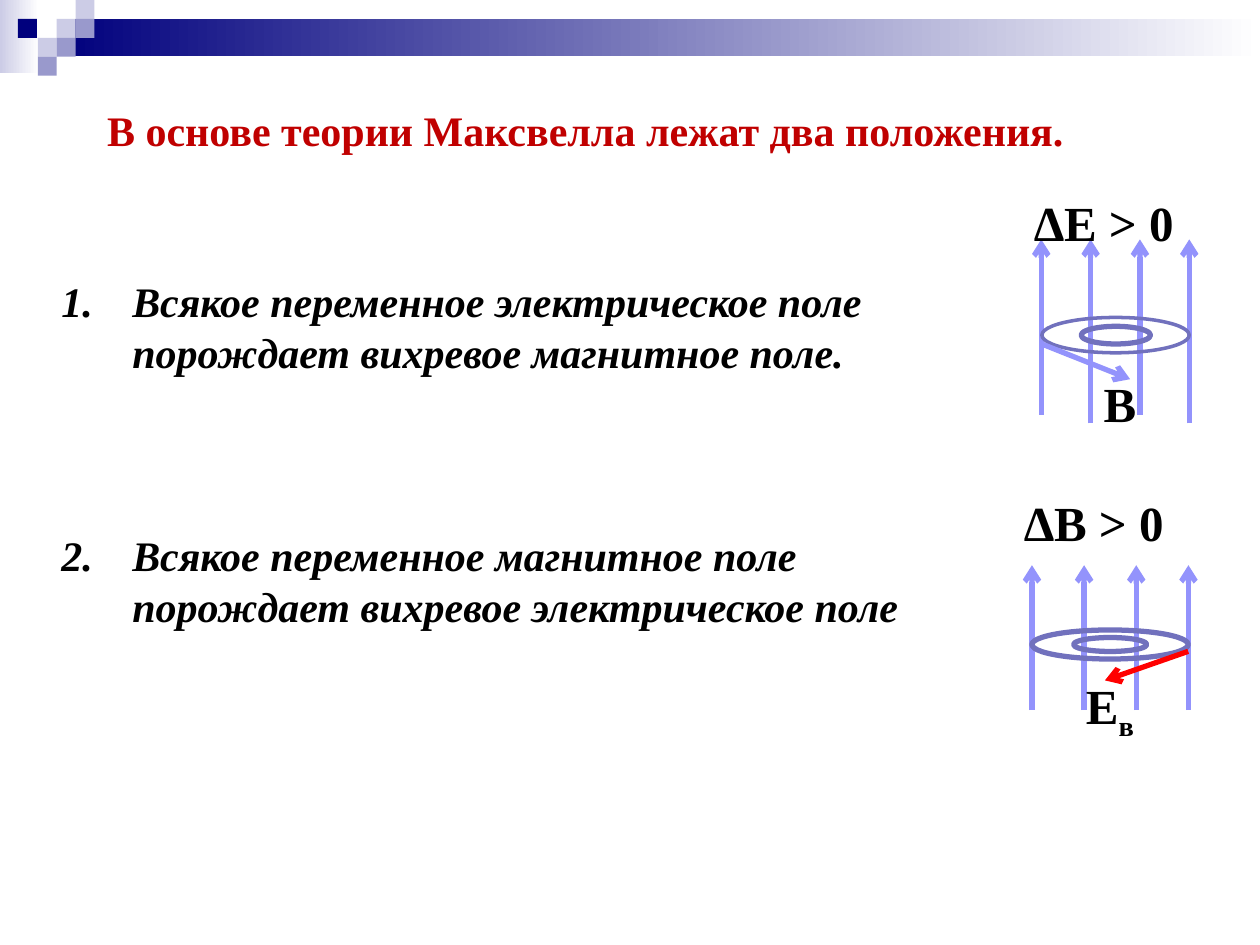
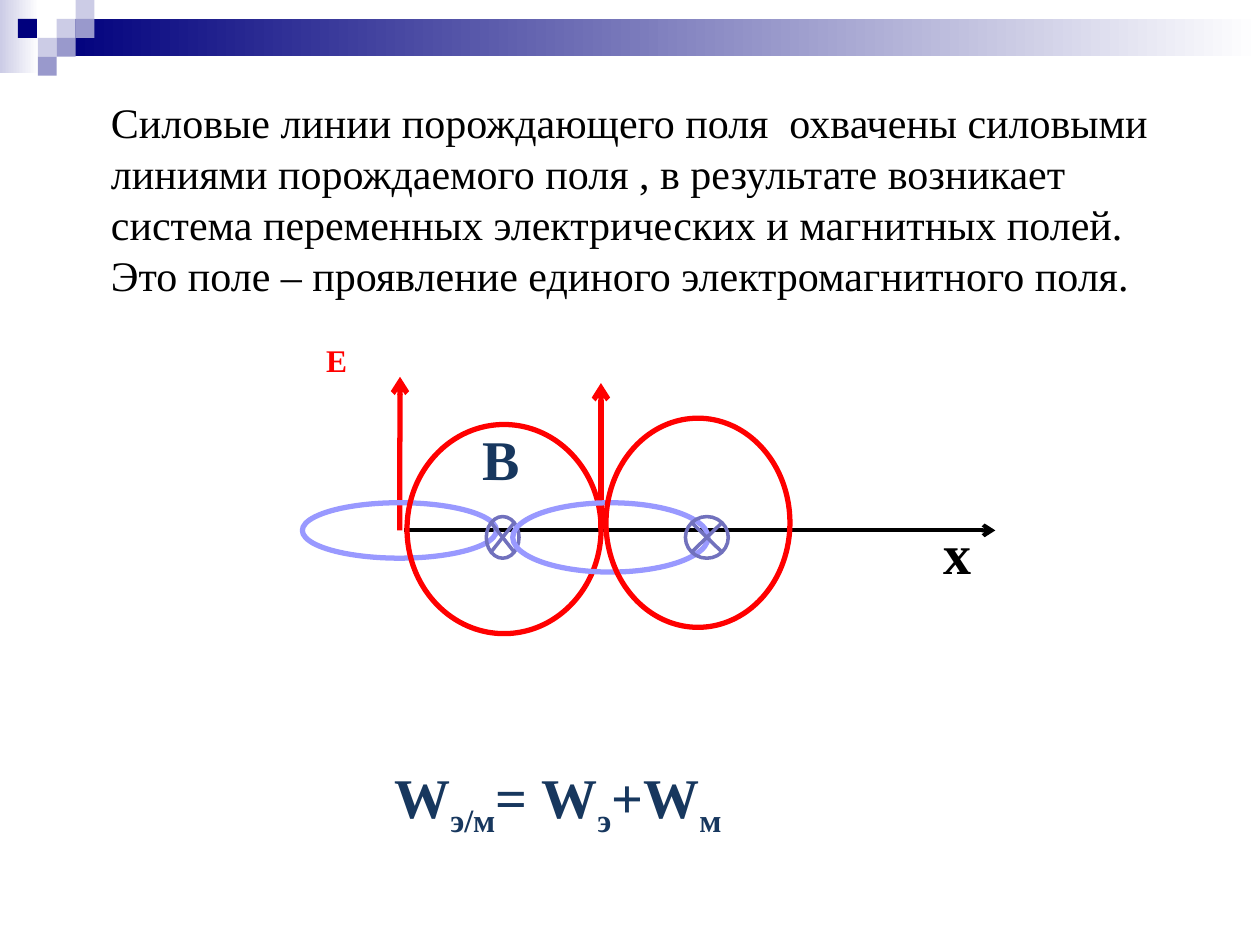
from lxml import etree
from pptx import Presentation
from pptx import util as u
from pptx.dml.color import RGBColor
from pptx.enum import shapes, text
from pptx.oxml.ns import qn

Pt = u.Pt
COLORS = {
    "navy": "00007D", "lilac": "9999CC", "pale": "CCCCE6", "white": "FFFFFF",
    "title": "C00000", "black": "000000", "red": "FF0000", "ink": "17375E",
    "field": "9393FC", "ring": "7171BD", "loop": "9999FF",
}
LABEL = {"size": Pt(28), "bold": True}
BIG = {"size": Pt(32), "bold": True}
LINE_PITCH = 29.1


def rgb(name):
    return RGBColor.from_string(COLORS[name])


class Deck:
    font = "Times New Roman"

    def __init__(self):
        self.prs = Presentation()
        self.prs.slide_width, self.prs.slide_height = Pt(720), Pt(540)
        self.layout = self.prs.slide_layouts[5]
        self.s = None

    def slide(self):
        self.s = self.prs.slides.add_slide(self.layout)

    def run(self, p, value, color, fmt, sub=False):
        r = p.add_run()
        r.text = value
        r.font.name = self.font
        r.font.color.rgb = rgb(color)
        for name, setting in fmt.items():
            setattr(r.font, name, setting)
        if sub:
            r._r.get_or_add_rPr().set("baseline", "-25000")

    def title(self, value, box, color="black", **fmt):
        sp = self.s.shapes.title
        sp.left, sp.top, sp.width, sp.height = map(Pt, box)
        tf = sp.text_frame
        tf.word_wrap = True
        tf.vertical_anchor = text.MSO_ANCHOR.MIDDLE
        p = tf.paragraphs[0]
        p.alignment = text.PP_ALIGN.LEFT
        p.line_spacing = Pt(LINE_PITCH)
        self.run(p, value, color, {"size": Pt(24), **fmt})

    def frame(self, box):
        tf = self.s.shapes.add_textbox(*map(Pt, box)).text_frame
        tf.word_wrap = True
        return tf

    def label(self, box, *parts, color="black", fmt=LABEL):
        p = self.frame(box).paragraphs[0]
        for i, part in enumerate(parts):
            self.run(p, part, color, fmt, sub=i % 2 == 1)

    def numbered(self, box, items, gap, indent):
        tf = self.frame(box)
        for i, item in enumerate(items):
            p = tf.add_paragraph() if i else tf.paragraphs[0]
            p.line_spacing = Pt(LINE_PITCH)
            p.space_before = Pt(gap if i else 0)
            pPr = p._p.get_or_add_pPr()
            pPr.set("marL", str(Pt(indent)))
            pPr.set("indent", str(-Pt(indent)))
            etree.SubElement(pPr, qn("a:buFont"), typeface="+mj-lt")
            etree.SubElement(pPr, qn("a:buAutoNum"), type="arabicPeriod")
            self.run(p, item, "black", {"size": Pt(24), "bold": True, "italic": True})

    def rect(self, box, *colors):
        sp = self.s.shapes.add_shape(shapes.MSO_SHAPE.RECTANGLE, *map(Pt, box))
        sp.shadow.inherit = False
        sp.line.fill.background()
        if len(colors) == 1:
            sp.fill.solid()
            sp.fill.fore_color.rgb = rgb(colors[0])
        else:
            sp.fill.gradient()
            sp.fill.gradient_angle = 0
            for stop, color in zip(sp.fill.gradient_stops, colors):
                stop.color.rgb = rgb(color)
        return sp

    def outline(self, box, color, width=3, kind=shapes.MSO_SHAPE.OVAL):
        sp = self.s.shapes.add_shape(kind, *map(Pt, box))
        sp.shadow.inherit = False
        sp.fill.background()
        sp.line.color.rgb = rgb(color)
        sp.line.width = Pt(width)

    def arrow(self, start, end, color, width=3):
        cn = self.s.shapes.add_connector(
            shapes.MSO_CONNECTOR.STRAIGHT, *map(Pt, (*start, *end)))
        cn.line.color.rgb = rgb(color)
        cn.line.width = Pt(width)
        etree.SubElement(cn.line._get_or_add_ln(), qn("a:tailEnd"), type="arrow")
        etree.SubElement(cn._element.spPr, qn("a:effectLst"))

    def field(self, left, step, top, bottoms):
        for i, bottom in enumerate(bottoms):
            x = left + i * step
            self.arrow((x, bottom), (x, top), "field")

    def band(self):
        parts = [self.rect((0, 0, 22.3, 41.8), "pale", "white"),
                 self.rect((32.4, 10.8, 687.6, 21.4), "navy", "white")]
        unit = 10.8
        for col, row, color in ((3, 1, "pale"), (4, 0, "pale"), (4, 1, "lilac"),
                                (2, 2, "pale"), (0.95, 1, "navy"),
                                (3, 2, "lilac"), (2, 3, "lilac")):
            parts.append(self.rect((col * unit, row * unit, unit, unit), color))
        tree = self.layout.shapes._spTree
        for i, sp in enumerate(parts):
            sp._element.nvSpPr.cNvPr.set("id", str(100 + i))
            tree.insert(2 + i, sp._element)


def postulates(d):
    d.slide()
    d.band()
    d.title("В основе теории Максвелла лежат два положения.",
            (54, 56, 626, 36), "title", bold=True)
    d.numbered((28, 153.4, 496, 211), (
        "Всякое переменное электрическое поле порождает вихревое магнитное поле.",
        "Всякое переменное магнитное поле порождает вихревое электрическое поле",
    ), gap=3 * LINE_PITCH, indent=40.5)

    d.field(589.7, 29.8, 323, [405.8] * 4)
    d.outline((613.5, 364.3, 41.8, 8), "ring")
    d.outline((589.7, 360, 89.3, 16.6), "ring")
    d.arrow((679, 372.2), (631.4, 388.8), "red")
    d.label((578.2, 277.9, 119, 49), "∆В > 0")
    d.label((613.5, 382.3, 53.3, 49), "Е", "в")

    d.field(595, 28.2, 136.8, [236.9, 241.9] * 2)
    d.outline((617.8, 186.5, 39.6, 10.1), "ring")
    d.outline((595.4, 181.4, 84.2, 20.2), "ring", 2)
    d.label((583.9, 106.6, 101.5, 41), "∆Е > 0")
    d.arrow((595.4, 196.6), (645.8, 216.7), "field")
    d.label((623.5, 210.2, 44.6, 41), "В")


def wave(d):
    d.slide()
    d.title("Силовые линии порождающего поля  охвачены силовыми линиями "
            "порождаемого поля , в результате возникает система переменных "
            "электрических и магнитных полей. Это поле – проявление единого "
            "электромагнитного поля.", (56.2, 23, 634.3, 180.7))
    junction = shapes.MSO_SHAPE.FLOWCHART_SUMMING_JUNCTION
    d.arrow((231.1, 303.1), (568.8, 303.1), "black", 2.25)
    d.arrow((228.4, 303.1), (228.6, 215.3), "red")
    d.outline((172.8, 287.3, 110.9, 31.7), "loop")
    d.outline((277.9, 295.2, 18.7, 23.8), "ring", 2, junction)
    d.outline((232.6, 242.6, 110.9, 119.5), "red")
    d.arrow((343.4, 302.4), (343.4, 218.9), "red")
    d.outline((293, 287.3, 111.6, 39.6), "loop")
    d.outline((346.3, 239, 105.1, 119.5), "red")
    d.outline((391.7, 295.2, 24.5, 23.8), "ring", 2, junction)
    d.label((179.3, 191.5, 92.9, 28.8), "Е", color="red",
            fmt={"size": Pt(18), "bold": True})
    d.label((268.6, 239, 61.9, 46), "В", color="ink", fmt=BIG)
    d.label((532.1, 293, 54.7, 46), "x", fmt=BIG)
    d.label((218.2, 432, 245.5, 50), "W", "э/м", "= W", "э", "+W", "м",
            color="ink", fmt=BIG)


def main():
    d = Deck()
    postulates(d)
    wave(d)
    d.prs.save("out.pptx")


if __name__ == "__main__":
    main()
